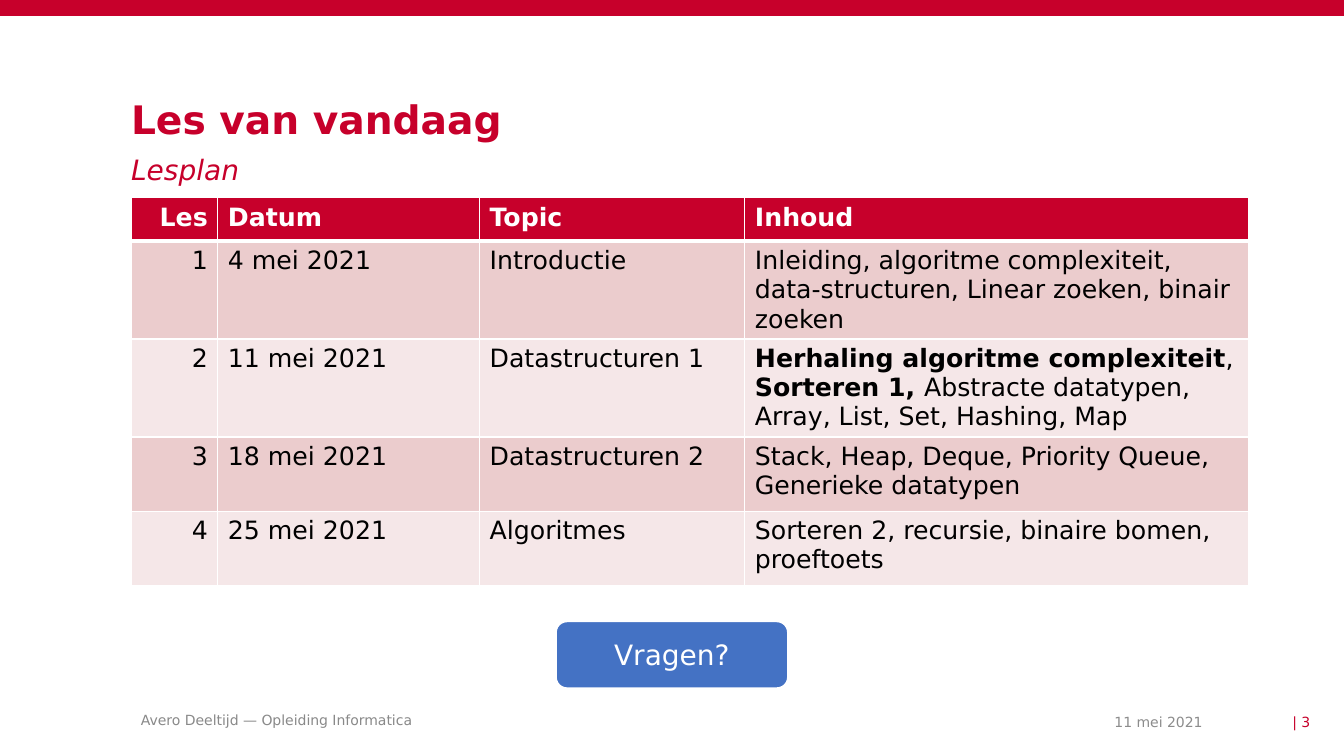
"""Build the lesson plan slide with its schedule table and question button."""
from lxml import etree
from pptx import Presentation
from pptx.dml.color import RGBColor
from pptx.enum import shapes, text
from pptx.oxml import ns
from pptx.util import Pt

RED, WHITE, BLACK, GREY = "C7002B", "FFFFFF", "000000", "8C8C8C"
BANDS = ["EBCCCD", "F5E7E8"]
LEFT, RIGHT, CENTER = text.PP_ALIGN.LEFT, text.PP_ALIGN.RIGHT, text.PP_ALIGN.CENTER
TOP, MIDDLE = text.MSO_ANCHOR.TOP, text.MSO_ANCHOR.MIDDLE


def color(hex_string):
    return RGBColor.from_string(hex_string)


def write(frame, runs, size, font_color, align=LEFT, **font_format):
    paragraph = frame.paragraphs[0]
    paragraph.alignment = align
    for content, bold in runs:
        run = paragraph.add_run()
        run.text = content
        run.font.color.rgb = color(font_color)
        values = {"name": "DejaVu Sans", "size": Pt(size), "bold": bold, **font_format}
        for name, value in values.items():
            setattr(run.font, name, value)
    return paragraph


presentation = Presentation()
presentation.slide_width, presentation.slide_height = Pt(960), Pt(540)
slide = presentation.slides.add_slide(presentation.slide_layouts[5])

bar = slide.shapes.add_shape(shapes.MSO_SHAPE.RECTANGLE, 0, 0, Pt(960), Pt(11.3))
bar.shadow.inherit = False
bar.fill.solid()
bar.fill.fore_color.rgb = color(RED)
bar.line.fill.background()

title = slide.shapes.title
title.left, title.top, title.width, title.height = Pt(93.6), Pt(72), Pt(609), Pt(28)
write(title.text_frame, [("Les van vandaag", True)], 28, RED).line_spacing = 0.9

subtitle = slide.shapes.add_textbox(Pt(93.6), Pt(108.7), Pt(610), Pt(28))
write(subtitle.text_frame, [("Lesplan", False)], 20, RED, italic=True).space_after = Pt(6)

date = slide.shapes.add_textbox(Pt(643), Pt(507), Pt(216), Pt(17))
write(date.text_frame, [("11 mei 2021", False)], 10, GREY, RIGHT)

page_number = slide.shapes.add_textbox(Pt(872), Pt(507), Pt(64), Pt(17))
write(page_number.text_frame, [("| 3", False)], 10, RED, RIGHT)

footer = slide.shapes.add_textbox(Pt(93.6), Pt(506), Pt(482), Pt(17))
write(footer.text_frame, [("Avero Deeltijd — Opleiding Informatica", False)], 10, "898989")

for box, anchor, inset in [(title, TOP, 0), (subtitle, TOP, 0), (date, MIDDLE, 0),
                           (page_number, MIDDLE, 0), (footer, MIDDLE, 7.2)]:
    frame_format = {"word_wrap": True, "auto_size": text.MSO_AUTO_SIZE.NONE,
                    "vertical_anchor": anchor, "margin_left": Pt(inset),
                    "margin_right": Pt(inset), "margin_top": 0, "margin_bottom": 0}
    for name, value in frame_format.items():
        setattr(box.text_frame, name, value)

lessons = [
    ["Les", "Datum", "Topic", "Inhoud"],
    ["1", "4 mei 2021", "Introductie",
     "Inleiding, algoritme complexiteit, data-structuren, Linear zoeken, binair zoeken"],
    ["2", "11 mei 2021", "Datastructuren 1",
     [("Herhaling algoritme complexiteit", True), (", ", False), ("Sorteren 1, ", True),
      ("Abstracte datatypen, Array, List, Set, Hashing, Map", False)]],
    ["3", "18 mei 2021", "Datastructuren 2",
     "Stack, Heap, Deque, Priority Queue, Generieke datatypen"],
    ["4", "25 mei 2021", "Algoritmes", "Sorteren 2, recursie, binaire bomen, proeftoets"],
]
column_widths = [62, 187, 189.5, 359.5]
row_heights = [31] + [53] * 4
table = slide.shapes.add_table(len(lessons), len(column_widths), Pt(93.6), Pt(141.3),
                               Pt(sum(column_widths)), Pt(sum(row_heights))).table
for column, width in zip(table.columns, column_widths):
    column.width = Pt(width)

for row_index, lesson in enumerate(lessons):
    header = row_index == 0
    table.rows[row_index].height = Pt(row_heights[row_index])
    for column_index, content in enumerate(lesson):
        cell = table.cell(row_index, column_index)
        cell.fill.solid()
        cell.fill.fore_color.rgb = color(RED if header else BANDS[(row_index - 1) % 2])
        runs = [(content, header)] if isinstance(content, str) else content
        write(cell.text_frame, runs, 18, WHITE if header else BLACK,
              LEFT if column_index else RIGHT)
        properties = cell._tc.get_or_add_tcPr()
        for position, side in enumerate(["lnL", "lnR", "lnT", "lnB"]):
            thick = (row_index, side) in [(0, "lnB"), (1, "lnT")]
            border = etree.Element(ns.qn(f"a:{side}"), w=str(Pt(3 if thick else 1)))
            fill = etree.SubElement(border, ns.qn("a:solidFill"))
            etree.SubElement(fill, ns.qn("a:srgbClr"), val=WHITE)
            properties.insert(position, border)

button = slide.shapes.add_shape(shapes.MSO_SHAPE.ROUNDED_RECTANGLE,
                                Pt(397), Pt(443.7), Pt(166), Pt(48))
button.shadow.inherit = False
button.fill.solid()
button.fill.fore_color.rgb = color("4472C4")
button.line.color.rgb = color(WHITE)
button.line.width = Pt(1.5)
button.text_frame.vertical_anchor = MIDDLE
write(button.text_frame, [("Vragen?", False)], 20, WHITE, CENTER)

presentation.save("out.pptx")
